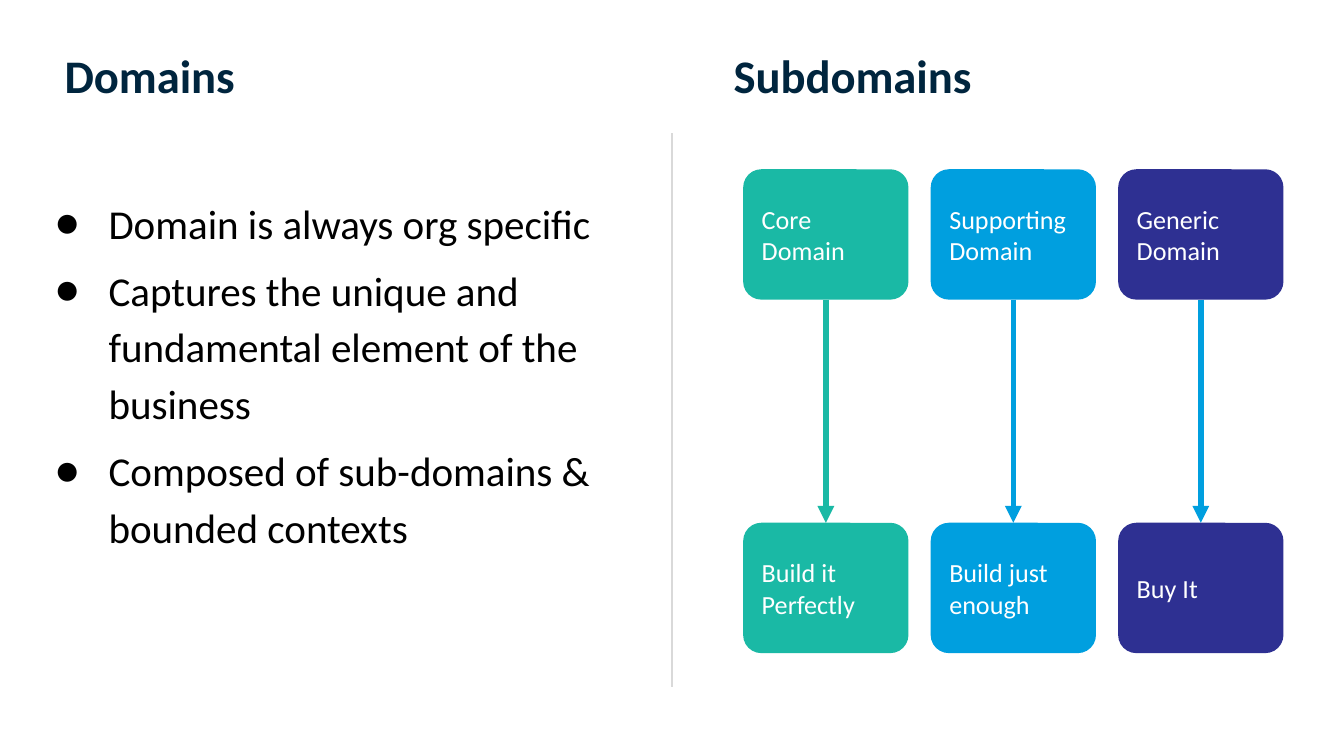
from dataclasses import dataclass

from lxml.etree import SubElement
from pptx import Presentation
from pptx.dml.color import RGBColor
from pptx.enum.shapes import MSO_CONNECTOR as Connector, MSO_SHAPE as Shape
from pptx.enum.text import MSO_ANCHOR as Anchor, PP_ALIGN as Align
from pptx.oxml.ns import qn
from pptx.util import Inches, Pt

WIDTH = 10
HEIGHT = WIDTH * 9 / 16
NAVY = RGBColor(0x00, 0x25, 0x3E)
BLACK = RGBColor(0x00, 0x00, 0x00)
WHITE = RGBColor(0xFF, 0xFF, 0xFF)
GREY = RGBColor(0xD9, 0xD9, 0xD9)
TEAL = RGBColor(0x1A, 0xB9, 0xA5)
BLUE = RGBColor(0x00, 0x9F, 0xDF)
INDIGO = RGBColor(0x2E, 0x30, 0x92)

HEADING = {"name": "Calibri", "size": Pt(25), "bold": True}
BODY = {"name": "Calibri", "size": Pt(22), "bold": False}
LABEL = {"name": "Calibri", "size": Pt(14), "bold": False}
MARGINS = ("margin_left", "margin_top", "margin_right", "margin_bottom")

DOMAIN_POINTS = [
    "Domain is always org specific",
    "Captures the unique and fundamental element of the business",
    "Composed of sub-domains & bounded contexts",
]
SUBDOMAINS = [
    ("Core Domain", "Build it\nPerfectly", TEAL, TEAL),
    ("Supporting\nDomain", "Build just enough", BLUE, BLUE),
    ("Generic\nDomain", "Buy It", INDIGO, BLUE),
]


@dataclass
class Box:
    left: float
    top: float
    width: float
    height: float

    def lengths(self):
        return [Inches(n) for n in (self.left, self.top, self.width, self.height)]


def add_bullet(paragraph):
    properties = paragraph._p.get_or_add_pPr()
    properties.set("marL", str(Inches(0.5)))
    properties.set("indent", str(-Inches(0.4)))
    SubElement(properties, qn("a:buFont"), typeface="Calibri")
    SubElement(properties, qn("a:buChar"), char="●")


def write_text(shape, text, font_format, color, anchor=Anchor.MIDDLE, bullets=False):
    frame = shape.text_frame
    frame.text = text
    frame_format = {"word_wrap": True, "vertical_anchor": anchor}
    frame_format.update(dict.fromkeys(MARGINS, Inches(0.1)))
    for name, value in frame_format.items():
        setattr(frame, name, value)
    for index, paragraph in enumerate(frame.paragraphs):
        paragraph.alignment = Align.LEFT
        if bullets:
            paragraph.line_spacing = 1.15
            paragraph.space_before = Pt(5.6 if index else 0)
            add_bullet(paragraph)
        for name, value in font_format.items():
            setattr(paragraph.font, name, value)
        paragraph.font.color.rgb = color


def draw_line(slide, start, end, color, width, arrow=False):
    points = [Inches(n) for n in (*start, *end)]
    connector = slide.shapes.add_connector(Connector.STRAIGHT, *points)
    connector.line.color.rgb = color
    connector.line.width = Pt(width)
    if arrow:
        line = connector._element.spPr.find(qn("a:ln"))
        SubElement(line, qn("a:tailEnd"), type="triangle")
    SubElement(connector._element.spPr, qn("a:effectLst"))


def draw_domains(slide, box):
    title = slide.shapes.title
    title_box = Box(box.left + 0.17, 0.34, 3.65, 0.43)
    title.left, title.top, title.width, title.height = title_box.lengths()
    write_text(title, "Domains", HEADING, NAVY)

    body = slide.shapes.add_textbox(*box.lengths())
    write_text(body, "\n".join(DOMAIN_POINTS), BODY, BLACK, Anchor.TOP, bullets=True)


def draw_card(slide, box, text, color):
    card = slide.shapes.add_shape(Shape.ROUNDED_RECTANGLE, *box.lengths())
    card.adjustments[0] = 0.14
    card.shadow.inherit = False
    card.fill.solid()
    card.fill.fore_color.rgb = color
    card.line.fill.background()
    write_text(card, text, LABEL, WHITE)


def draw_subdomains(slide, box):
    heading_box = Box(box.left - 0.17, 0.24, 3.04, 0.63)
    heading = slide.shapes.add_textbox(*heading_box.lengths())
    write_text(heading, "Subdomains", HEADING, NAVY)

    card_width, card_height = 1.23, 0.97
    pitch = (box.width - card_width) / (len(SUBDOMAINS) - 1)
    lower_top = box.top + box.height - card_height
    for column, (kind, advice, color, arrow_color) in enumerate(SUBDOMAINS):
        left = box.left + column * pitch
        center = left + card_width / 2
        for top, text in ((box.top, kind), (lower_top, advice)):
            draw_card(slide, Box(left, top, card_width, card_height), text, color)
        start = (center, box.top + card_height)
        draw_line(slide, start, (center, lower_top), arrow_color, 3, arrow=True)


def main():
    presentation = Presentation()
    presentation.slide_width = Inches(WIDTH)
    presentation.slide_height = Inches(HEIGHT)
    slide = presentation.slides.add_slide(presentation.slide_layouts[5])
    draw_line(slide, (WIDTH / 2, 5.11), (WIDTH / 2, 0.99), GREY, 1.5)
    draw_domains(slide, Box(0.21, 1.32, 4.5, 3.29))
    draw_subdomains(slide, Box(5.53, 1.26, 4.02, 3.6))
    presentation.save("out.pptx")


if __name__ == "__main__":
    main()
